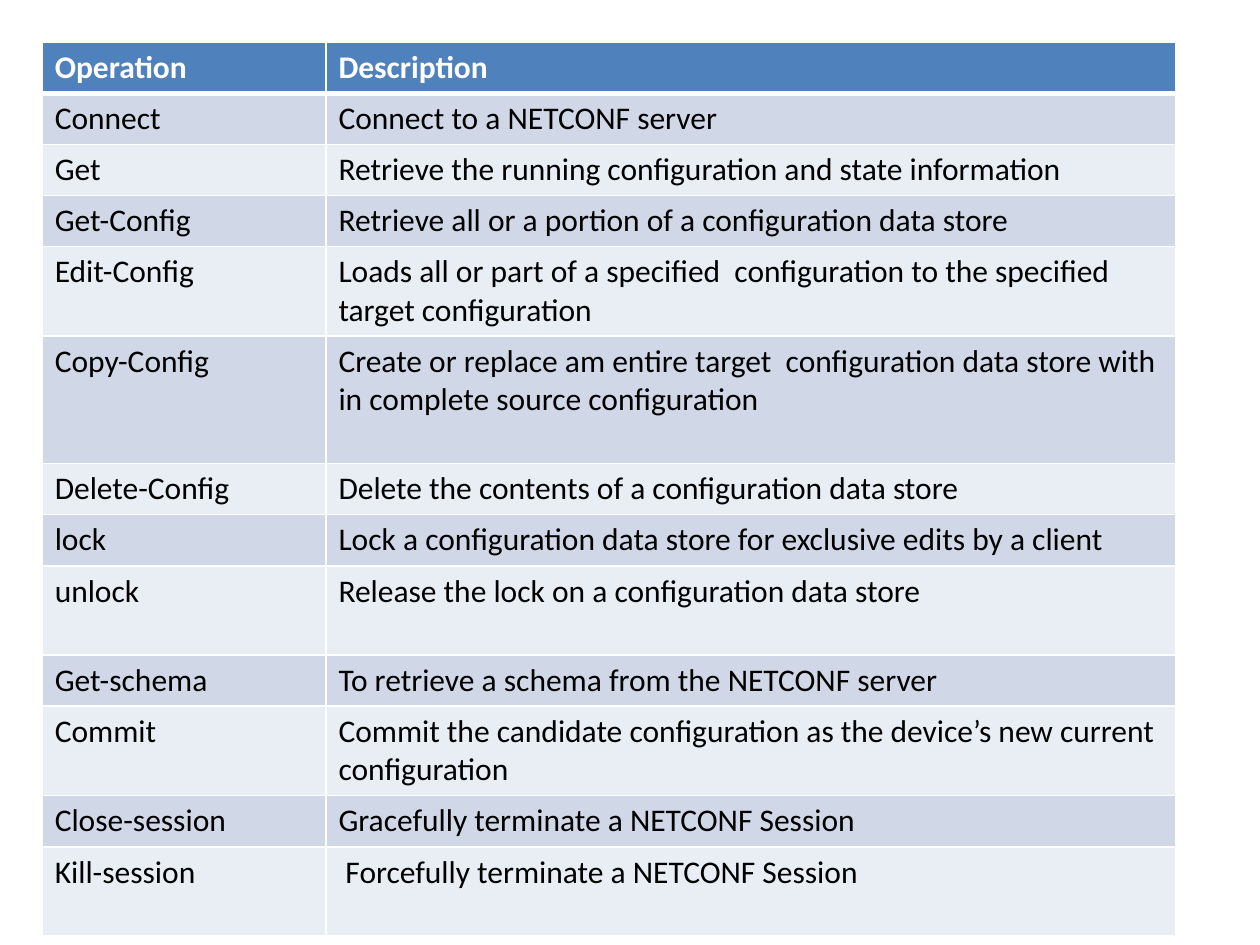
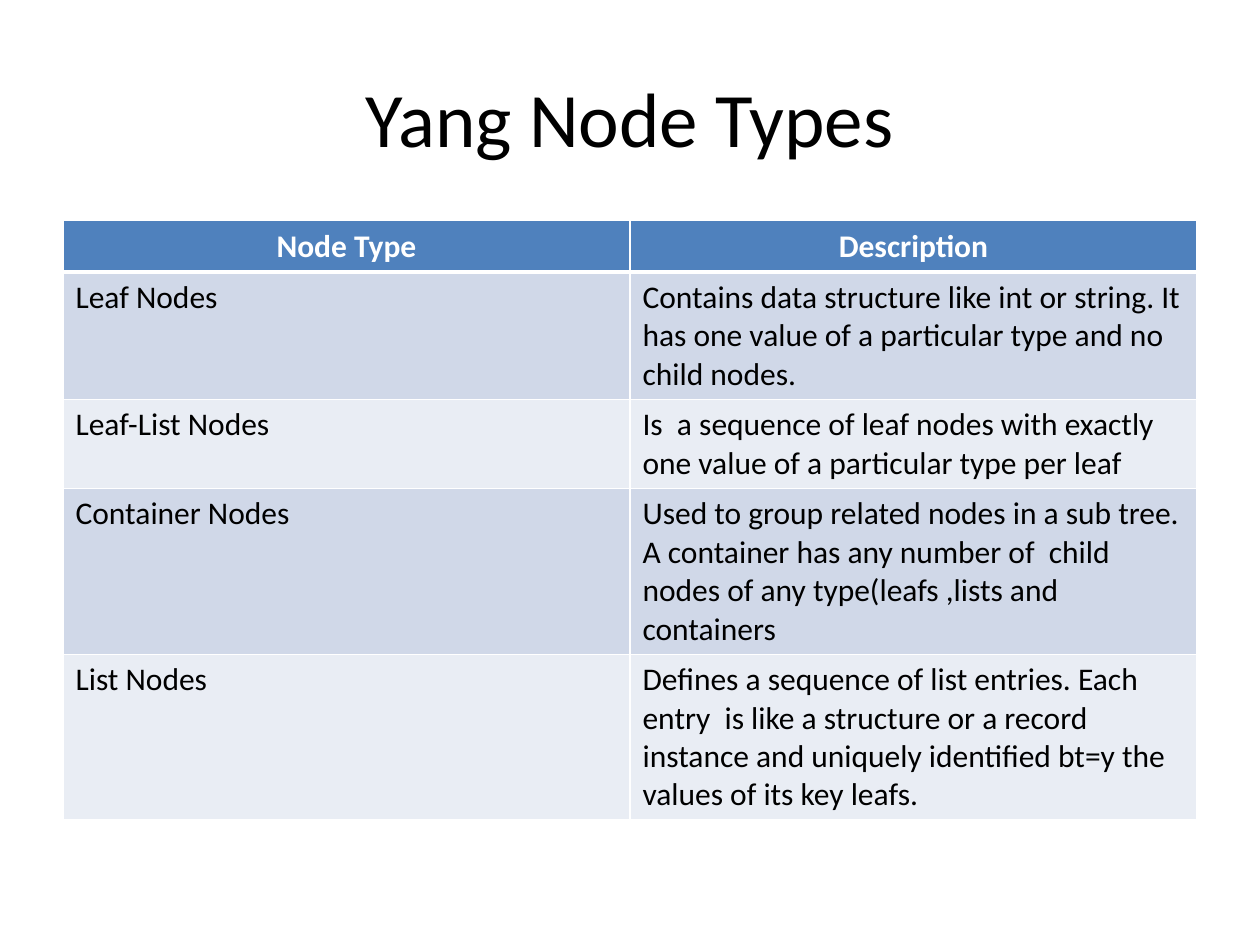
from lxml.etree import SubElement
from pptx import Presentation
from pptx.dml.color import RGBColor
from pptx.enum.text import MSO_ANCHOR as Anchor, PP_ALIGN as Align
from pptx.oxml.ns import qn
from pptx.util import Cm, Pt

FONT = "Calibri"
BLACK, WHITE = "000000", "FFFFFF"
HEADER_FILL = "4F81BD"
BAND_FILLS = ("D0D8E8", "E9EDF4")
TABLE_WIDTH = 22.86
CELL_PADDING, LINE_HEIGHT = 0.26, 0.77
WORD_SPACE = 0.14

# Each row: first cell, description, number of text lines it has room for
OPERATIONS = [
    ("Operation", "Description", 1),
    ("Connect", "Connect to a NETCONF server", 1),
    ("Get", "Retrieve the running configuration and state information", 1),
    ("Get-Config", "Retrieve all or a portion of a configuration data store", 1),
    ("Edit-Config", "Loads all or part of a specified  configuration to the specified "
     "target configuration", 2),
    ("Copy-Config", "Create or replace am entire target  configuration data store with "
     "in complete source configuration", 3),
    ("Delete-Config", "Delete the contents of a configuration data store", 1),
    ("lock", "Lock a configuration data store for exclusive edits by a client", 1),
    ("unlock", "Release the lock on a configuration data store", 2),
    ("Get-schema", "To retrieve a schema from the NETCONF server", 1),
    ("Commit", "Commit the candidate configuration as the device’s new current "
     "configuration", 2),
    ("Close-session", "Gracefully terminate a NETCONF Session", 1),
    ("Kill-session", "Forcefully terminate a NETCONF Session", 2),
]
NODE_TYPES = [
    ("Node Type", "Description", 1),
    ("Leaf Nodes", "Contains data structure like int or string. It has one value of a "
     "particular type and no child nodes.", 3),
    ("Leaf-List Nodes", "Is  a sequence of leaf nodes with exactly one value of a "
     "particular type per leaf", 2),
    ("Container Nodes", "Used to group related nodes in a sub tree. A container has any "
     "number of  child nodes of any type(leafs ,lists and containers", 4),
    ("List Nodes", "Defines a sequence of list entries. Each entry  is like a structure "
     "or a record instance and uniquely identified bt=y the values of its key leafs.", 4),
]


def color(hex_code):
    return RGBColor.from_string(hex_code)


def write(frame, text, size=18, ink=BLACK, bold=False, align=Align.LEFT):
    paragraph = frame.paragraphs[0]
    paragraph.alignment = align
    run = paragraph.add_run()
    run.text = text
    run.font.name, run.font.size, run.font.bold = FONT, Pt(size), bold
    run.font.color.rgb = color(ink)


def add_title(slide, text):
    title = slide.shapes.add_textbox(Cm(1.27), Cm(0.76), Cm(TABLE_WIDTH), Cm(3.18))
    frame = title.text_frame
    frame.word_wrap = True
    frame.vertical_anchor = Anchor.MIDDLE
    write(frame, text, size=44, align=Align.CENTER)


def set_borders(cell, top=1, bottom=1):
    """Draw white cell edges; widths are in points."""
    properties = cell._tc.get_or_add_tcPr()
    for edge, width in (("L", 1), ("R", 1), ("T", top), ("B", bottom)):
        line = SubElement(properties, qn(f"a:ln{edge}"), w=str(Pt(width)))
        fill = SubElement(line, qn("a:solidFill"))
        SubElement(fill, qn("a:srgbClr"), val=WHITE)


def add_banded_table(slide, rows, left, top, first_width, header_align=Align.LEFT):
    heights = [CELL_PADDING + LINE_HEIGHT * lines for *_, lines in rows]
    table = slide.shapes.add_table(len(rows), 2, Cm(left), Cm(top),
                                   Cm(TABLE_WIDTH), Cm(sum(heights))).table
    table.columns[0].width = Cm(first_width)
    table.columns[1].width = Cm(TABLE_WIDTH - first_width)
    for index, (*texts, _) in enumerate(rows):
        table.rows[index].height = Cm(heights[index])
        is_header = index == 0
        for column, text in enumerate(texts):
            cell = table.cell(index, column)
            set_borders(cell, top=3 if index == 1 else 1, bottom=3 if is_header else 1)
            cell.fill.solid()
            cell.fill.fore_color.rgb = color(
                HEADER_FILL if is_header else BAND_FILLS[(index - 1) % 2])
            write(cell.text_frame, text, bold=is_header,
                  ink=WHITE if is_header else BLACK,
                  align=header_align if is_header else Align.LEFT)
    return table


def main():
    deck = Presentation()
    deck.slide_width, deck.slide_height = Cm(25.4), Cm(19.05)
    blank = deck.slide_layouts[6]

    operations = add_banded_table(deck.slides.add_slide(blank), OPERATIONS,
                                  left=0.85, top=0.85, first_width=5.72)
    kill_description = operations.cell(len(OPERATIONS) - 1, 1)
    kill_description.margin_left += Cm(WORD_SPACE)

    node_slide = deck.slides.add_slide(blank)
    add_title(node_slide, "Yang Node Types")
    add_banded_table(node_slide, NODE_TYPES, left=1.27, top=4.45,
                     first_width=TABLE_WIDTH / 2, header_align=Align.CENTER)

    deck.save("out.pptx")


if __name__ == "__main__":
    main()
